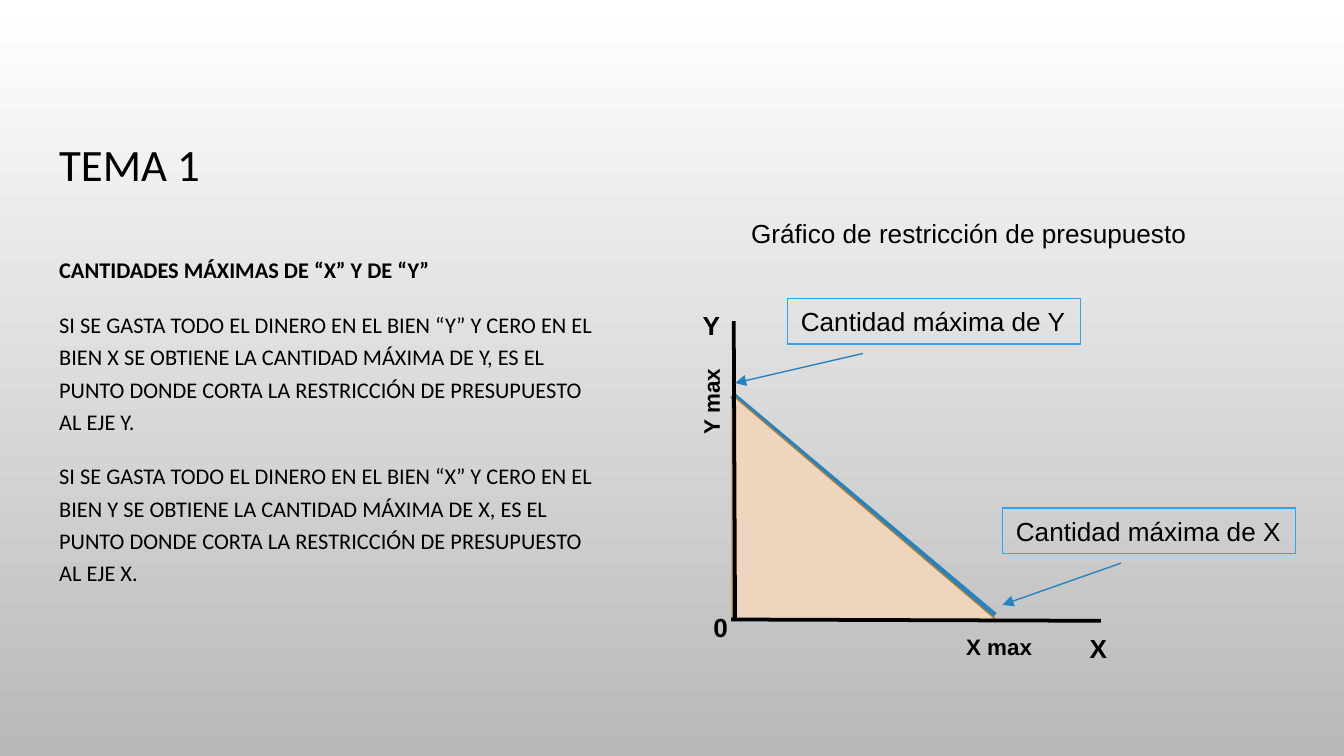
from lxml.etree import SubElement
from pptx import Presentation
from pptx.dml.color import RGBColor
from pptx.enum.shapes import MSO_CONNECTOR as Connector, MSO_SHAPE as Shape
from pptx.enum.text import MSO_ANCHOR as Anchor, MSO_AUTO_SIZE as AutoSize, PP_ALIGN as Align
from pptx.oxml.ns import qn
from pptx.util import Pt

COLORS = {
    "text": "000000",
    "axis": "000000",
    "budget": "2683BF",
    "area": "EFD5BD",
    "area_edge": "AE7D32",
    "callout": "2FA3EE",
    "bg_top": "FFFFFF",
    "bg_bottom": "B9B9B9",
}

EXPLANATION = [
    ("CANTIDADES MÁXIMAS DE “X” Y DE “Y”", True),
    ("SI SE GASTA TODO EL DINERO EN EL BIEN “Y” Y CERO EN EL BIEN X SE OBTIENE "
     "LA CANTIDAD MÁXIMA DE Y, ES EL PUNTO DONDE CORTA LA RESTRICCIÓN DE "
     "PRESUPUESTO AL EJE Y.", False),
    ("SI SE GASTA TODO EL DINERO EN EL BIEN “X” Y CERO EN EL BIEN Y SE OBTIENE "
     "LA CANTIDAD MÁXIMA DE X, ES EL PUNTO DONDE CORTA LA RESTRICCIÓN DE "
     "PRESUPUESTO AL EJE X.", False),
]


def color(name):
    return RGBColor.from_string(COLORS[name])


def add_run(paragraph, text, size, font="Arial", bold=False):
    run = paragraph.add_run()
    run.text = text
    run.font.size = Pt(size)
    run.font.name = font
    run.font.bold = bold
    run.font.color.rgb = color("text")


def set_background(slide):
    fill = slide.background.fill
    fill.gradient()
    fill.gradient_angle = 270
    for stop, name, position in zip(fill.gradient_stops, ("bg_top", "bg_bottom"), (0, 1)):
        stop.color.rgb = color(name)
        stop.position = position


def place(placeholder, left, top, width, height, anchor):
    placeholder.left, placeholder.top = Pt(left), Pt(top)
    placeholder.width, placeholder.height = Pt(width), Pt(height)
    frame = placeholder.text_frame
    frame.margin_left = frame.margin_right = Pt(7.2)
    frame.margin_top = frame.margin_bottom = Pt(7.2)
    frame.vertical_anchor = anchor
    frame.auto_size = AutoSize.NONE
    frame.word_wrap = True
    return frame


def write_title(slide):
    frame = place(slide.shapes.title, 24.5, 49.7, 662.4, 59.8, Anchor.BOTTOM)
    heading = frame.paragraphs[0]
    heading.alignment = Align.LEFT
    heading.line_spacing = 0.9
    add_run(heading, "TEMA 1", 24, "Calibri")


def write_explanation(slide):
    frame = place(slide.placeholders[1], 24.5, 127.4, 301, 232.6, Anchor.TOP)
    for index, (text, bold) in enumerate(EXPLANATION):
        paragraph = frame.add_paragraph() if index else frame.paragraphs[0]
        paragraph.alignment = Align.LEFT
        paragraph.line_spacing = 1.2
        paragraph.space_before = Pt(0)
        paragraph.space_after = Pt(12)
        properties = paragraph._p.get_or_add_pPr()
        properties.set("marL", "0")
        properties.set("indent", "0")
        SubElement(properties, qn("a:buNone"))
        add_run(paragraph, text, 12, "Calibri", bold)


def add_line(slide, start, end, name, width, arrow=False):
    line = slide.shapes.add_connector(Connector.STRAIGHT, *map(Pt, (*start, *end)))
    line.line.color.rgb = color(name)
    line.line.width = Pt(width)
    if arrow:
        SubElement(line.line._get_or_add_ln(), qn("a:tailEnd"), type="triangle")
    SubElement(line._element.spPr, qn("a:effectLst"))


def add_label(slide, text, left, top, width, height, size=14, bold=True, rotation=0, wrap=True):
    label = slide.shapes.add_textbox(*map(Pt, (left, top, width, height)))
    label.rotation = rotation
    label.text_frame.word_wrap = wrap
    add_run(label.text_frame.paragraphs[0], text, size, bold=bold)


def add_callout(slide, text, left, top):
    box = slide.shapes.add_shape(Shape.RECTANGLE, *map(Pt, (left, top, 157, 24.5)))
    box.shadow.inherit = False
    box.fill.background()
    box.line.color.rgb = color("callout")
    box.line.width = Pt(0.75)
    frame = box.text_frame
    frame.word_wrap = False
    frame.paragraphs[0].alignment = Align.LEFT
    add_run(frame.paragraphs[0], text, 14)


def add_budget_area(slide):
    area = slide.shapes.add_shape(
        Shape.RIGHT_TRIANGLE, *map(Pt, (392.4, 211.7, 141.1, 120.2)))
    area.shadow.inherit = False
    area.fill.solid()
    area.fill.fore_color.rgb = color("area")
    area.line.color.rgb = color("area_edge")
    area.line.width = Pt(0.75)


def draw_chart(slide):
    add_line(slide, (392.4, 211.7), (532.8, 329.8), "budget", 3.5)
    add_budget_area(slide)
    add_line(slide, (393.1, 172.1), (393.8, 332.6), "axis", 2)
    add_line(slide, (391.7, 331.9), (589.7, 332.6), "axis", 2)
    add_label(slide, "Y", 369.4, 162, 77, 24.5)
    add_label(slide, "X", 576.7, 335.5, 119.5, 24.5)
    add_label(slide, "X max", 510.5, 335.5, 50.4, 21.6, size=12)
    add_label(slide, "Y max", 355.7, 203.8, 50.4, 21.6, size=12, rotation=270)
    add_label(slide, "0", 375.1, 324, 16.6, 24.5)
    add_callout(slide, "Cantidad máxima de Y", 421.9, 159.8)
    add_line(slide, (462.2, 189.4), (393.8, 205.2), "budget", 0.75, arrow=True)
    add_callout(slide, "Cantidad máxima de X", 537.1, 272.2)
    add_line(slide, (600.5, 301.7), (537.1, 324), "budget", 0.75, arrow=True)
    add_label(slide, "Gráfico de restricción de presupuesto",
              395.3, 113, 248.4, 24.5, bold=False, wrap=False)


def main():
    deck = Presentation()
    deck.slide_width, deck.slide_height = Pt(720), Pt(405)
    slide = deck.slides.add_slide(deck.slide_layouts[1])
    set_background(slide)
    write_title(slide)
    write_explanation(slide)
    draw_chart(slide)
    deck.save("out.pptx")


if __name__ == "__main__":
    main()
